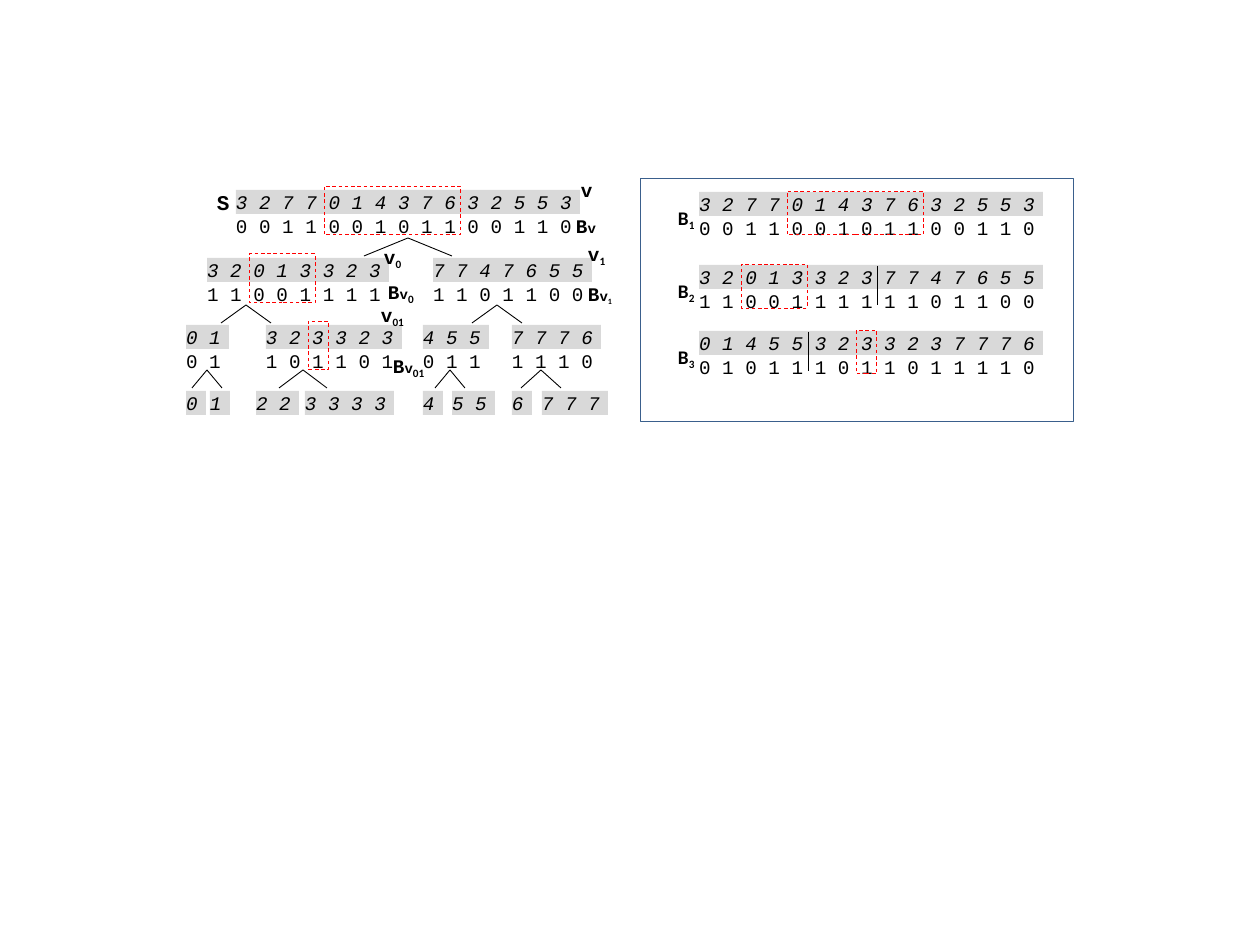
from dataclasses import dataclass

from lxml.etree import SubElement
from pptx import Presentation
from pptx.dml.color import RGBColor as Rgb
from pptx.enum.dml import MSO_LINE
from pptx.enum.shapes import MSO_CONNECTOR as Connector, MSO_SHAPE as Preset
from pptx.enum.text import MSO_ANCHOR as Anchor, PP_ALIGN as Align
from pptx.oxml.ns import qn
from pptx.util import Emu, Inches, Pt


@dataclass(frozen=True)
class Theme:
    """Colours, fonts and sizes of the slide."""
    ink: Rgb = Rgb(0, 0, 0)
    strip: Rgb = Rgb(0xD9, 0xD9, 0xD9)
    query: Rgb = Rgb(0xFF, 0, 0)
    frame: Rgb = Rgb(0x3A, 0x5F, 0x8C)
    mono: str = "Courier New"
    sans: str = "Calibri"
    body: int = 11
    heading: int = 12
    small: int = 8
    line: float = 0.5


THEME = Theme()
PITCH = 23.1
ROW = 24

NODES = [
    (50, 12, "327701437632553", "001100101100110"),
    (21, 80, "32013323", "11001111"),
    (247, 80, "7747655", "1101100"),
    (0, 147, "01", "01"),
    (80, 147, "323323", "101101"),
    (237, 147, "455", "011"),
    (326, 147, "7776", "1110"),
]
LEAVES = [(0, "0"), (24, "1"), (70, "22"), (119, "3333"),
          (237, "4"), (266, "55"), (326, "6"), (356, "777")]
BRANCHES = [(222, 60, 44), (60, 127, 25), (311, 127, 25), (21, 192, 15),
            (117, 192, 24), (264, 192, 15), (355, 192, 20)]
TREE_QUERIES = [(50, 12, 4, 6), (21, 80, 2, 3), (80, 147, 2, 1)]
V = ("v", THEME.mono, THEME.body, False)
B = ("B", THEME.mono, THEME.body, False)
SMALL_V = ("v", THEME.mono, THEME.small, False)


def subscript(text, size=THEME.body):
    """Describe a lowered run in the sans font."""
    return text, THEME.sans, size, True


TREE_LABELS = [
    (31, 12, [("S", THEME.mono, THEME.heading, False)]),
    (395, 0, [V]),
    (198, 68, [V, subscript("0")]),
    (402, 65, [V, subscript("1")]),
    (195, 126, [V, subscript("01")]),
    (390, 36, [B, SMALL_V]),
    (202, 103, [B, SMALL_V, subscript("0")]),
    (402, 104, [B, SMALL_V, subscript("1", THEME.small)]),
    (207, 177, [B, SMALL_V, subscript("01")]),
]
LEVELS = [
    (14, "327701437632553", "001100101100110", 4, 6, None),
    (87, "320133237747655", "110011111101100", 2, 3, 8),
    (153, "014553233237776", "010111011011110", 7, 1, 5),
]


def px(value):
    """Turn slide pixels into EMU."""
    return Emu(round(value * Inches(1) / 126))


def strip_width(count):
    """Give the width of a strip of digits."""
    return round(count * PITCH - 3)


def add_box(slide, left, top, width, height, fill=None, line=None, dash=None):
    """Add a plain rectangle."""
    shape = slide.shapes.add_shape(
        Preset.RECTANGLE, px(left), px(top), px(width), px(height))
    shape.shadow.inherit = False
    if fill is None:
        shape.fill.background()
    else:
        shape.fill.solid()
        shape.fill.fore_color.rgb = fill
    if line is None:
        shape.line.fill.background()
    else:
        shape.line.color.rgb = line
        shape.line.width = Pt(THEME.line)
        shape.line.dash_style = dash
    return shape


def write(shape, runs, italic=False, bold=False):
    """Write one left-aligned line of formatted runs."""
    frame = shape.text_frame
    frame.word_wrap = True
    frame.vertical_anchor = Anchor.MIDDLE
    frame.margin_left = frame.margin_right = 0
    frame.margin_top = frame.margin_bottom = 0
    paragraph = frame.paragraphs[0]
    paragraph.alignment = Align.LEFT
    for text, font, size, lowered in runs:
        run = paragraph.add_run()
        run.text = text
        run.font.name = font
        run.font.size = Pt(size)
        run.font.color.rgb = THEME.ink
        run.font.italic = italic
        run.font.bold = bold
        if lowered:
            run.font._element.set("baseline", "-25000")


def add_label(slide, left, top, runs):
    """Add a bold label."""
    box = slide.shapes.add_textbox(px(left), px(top), px(35), px(ROW))
    write(box, runs, bold=True)


def add_node(slide, left, top, symbols, bits=""):
    """Add a shaded strip of symbols, with its bits below."""
    width = strip_width(len(symbols))
    strip = add_box(slide, left, top, width, ROW, fill=THEME.strip)
    write(strip, [(" ".join(symbols), THEME.mono, THEME.body, False)], italic=True)
    if bits:
        box = slide.shapes.add_textbox(px(left), px(top + ROW), px(width), px(ROW))
        write(box, [(" ".join(bits), THEME.mono, THEME.body, False)])


def add_line(slide, x1, y1, x2, y2):
    """Add a thin straight line."""
    line = slide.shapes.add_connector(
        Connector.STRAIGHT, px(x1), px(y1), px(x2), px(y2))
    line.line.color.rgb = THEME.ink
    line.line.width = Pt(THEME.line)
    SubElement(line._element.spPr, qn("a:effectLst"))


def add_query(slide, left, top, start, count, height):
    """Add a dashed box around a range of digits."""
    add_box(slide, left + start * PITCH - 4, top, strip_width(count), height,
            line=THEME.query, dash=MSO_LINE.DASH)


def add_tree(slide, left, top):
    """Add the wavelet tree."""
    for x, y, symbols, bits in NODES:
        add_node(slide, left + x, top + y, symbols, bits)
    for x, symbols in LEAVES:
        add_node(slide, left + x, top + 213, symbols)
    for x, y, spread in BRANCHES:
        for foot in (x - spread, x + spread):
            add_line(slide, left + x, top + y, left + foot, top + y + 18)
    for x, y, start, count in TREE_QUERIES:
        add_query(slide, left + x, top + y - 4, start, count, 49)
    for x, y, runs in TREE_LABELS:
        add_label(slide, left + x, top + y, runs)


def add_levels(slide, left, top, width, height):
    """Add the framed panel of level bitmaps."""
    row_left = left + 59
    for number, (y, symbols, bits, start, count, split) in enumerate(LEVELS, 1):
        row_top = top + y
        add_node(slide, row_left, row_top, symbols, bits)
        add_label(slide, left + 38, row_top + 15,
                  [("B", THEME.sans, THEME.body, False), subscript(str(number))])
        add_query(slide, row_left, row_top - 1, start, count, 44)
        if split:
            x = row_left + split * PITCH - 6
            add_line(slide, x, row_top + 1, x, row_top + 40)
    add_box(slide, left, top, width, height, line=THEME.frame)


def main():
    """Build and save the slide."""
    presentation = Presentation()
    presentation.slide_width = Inches(10)
    presentation.slide_height = Inches(7.5)
    slide = presentation.slides.add_slide(presentation.slide_layouts[6])
    add_tree(slide, 186, 178)
    add_levels(slide, 640, 178, 433, 243)
    presentation.save("out.pptx")


if __name__ == "__main__":
    main()
